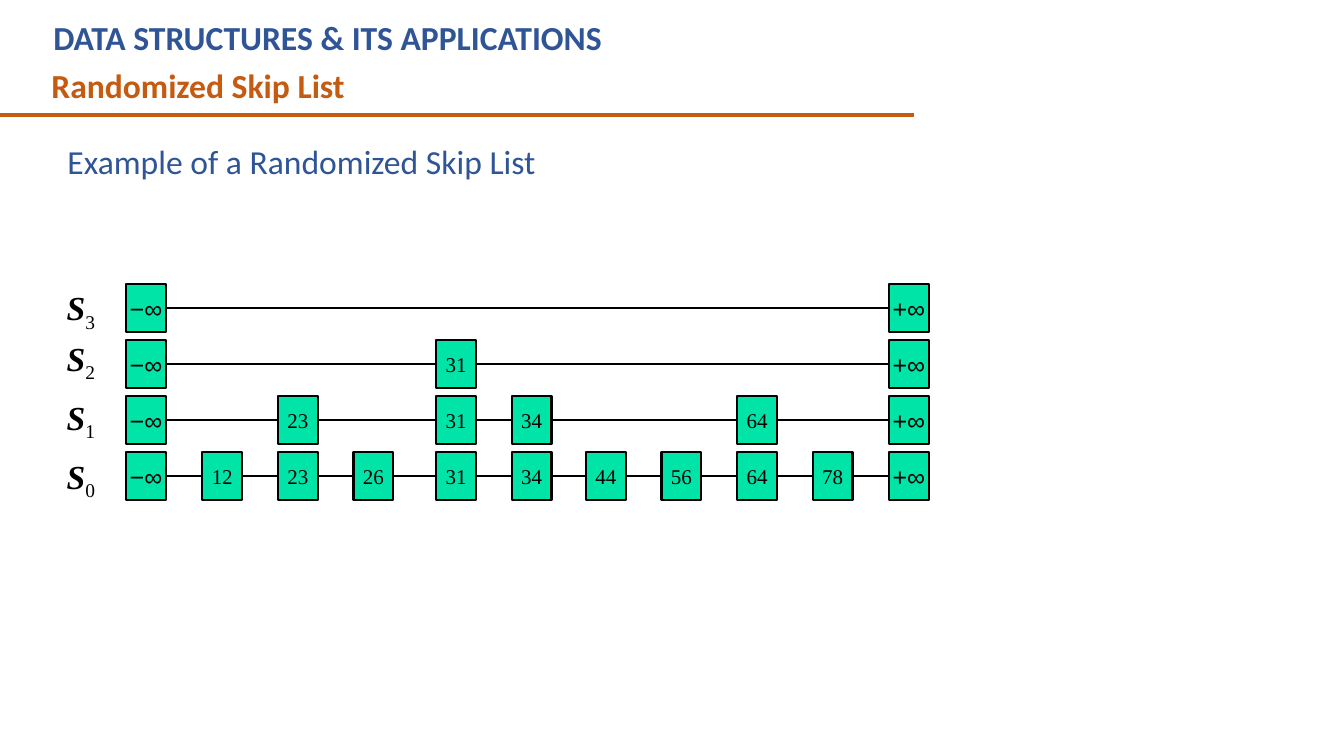
from itertools import pairwise

from lxml.etree import SubElement
from pptx import Presentation
from pptx.dml.color import RGBColor
from pptx.enum.shapes import MSO_CONNECTOR, MSO_SHAPE
from pptx.enum.text import MSO_ANCHOR, MSO_AUTO_SIZE, PP_ALIGN
from pptx.oxml.ns import qn
from pptx.util import Pt

BLUE, RUST, MINT, BLACK = "2F5597", "C55A11", "00E4A8", "000000"
SANS, SERIF, SIGN = "Calibri", "Times New Roman", "Arial"
LOW, HIGH = "−∞", "+∞"
LEFTS = {LOW: 90, "12": 144.5, "23": 198.5, "26": 252.5, "31": 311.5,
         "34": 365.5, "44": 418.5, "56": 472.5, "64": 526.5,
         "78": 580.5, HIGH: 635}
LEVELS = [
    ("3", 201.5, [LOW, HIGH]),
    ("2", 237.5, [LOW, "31", HIGH]),
    ("1", 280, [LOW, "23", "31", "34", "64", HIGH]),
    ("0", 322, list(LEFTS)),
]
TOP, PITCH = 203, 40


def color(code):
    return RGBColor.from_string(code)


class Board:
    """Draws styled elements on the current slide."""

    def __init__(self, slide):
        self.slide = slide
        self.shapes = slide.shapes

    def font(self, para, name, size, code, bold=False):
        font = para.font
        font.name, font.size, font.bold = name, Pt(size), bold
        font.color.rgb = color(code)

    def place(self, shape, left, top, width, height):
        shape.left, shape.top = Pt(left), Pt(top)
        shape.width, shape.height = Pt(width), Pt(height)

    def head(self, shape, text, code):
        frame = shape.text_frame
        frame.text = text
        frame.word_wrap = True
        frame.auto_size = MSO_AUTO_SIZE.NONE
        frame.vertical_anchor = MSO_ANCHOR.TOP
        para = frame.paragraphs[0]
        para.alignment = PP_ALIGN.LEFT
        self.font(para, SANS, 24, code, True)

    def banner(self, text, *area):
        box = self.shapes.add_textbox(*map(Pt, area))
        self.head(box, text, BLUE)

    def title(self, text, *area):
        title = self.shapes.title
        self.place(title, *area)
        self.head(title, text, RUST)

    def lead(self, text, *area):
        body = self.slide.placeholders[1]
        self.place(body, *area)
        frame = body.text_frame
        frame.text = text
        frame.auto_size = MSO_AUTO_SIZE.NONE
        frame.vertical_anchor = MSO_ANCHOR.MIDDLE
        frame.margin_top = frame.margin_bottom = 0
        para = frame.paragraphs[0]
        para.alignment = PP_ALIGN.JUSTIFY
        para.line_spacing = 1.5
        para.space_before = Pt(0)
        props = para._p.get_or_add_pPr()
        props.set("marL", str(Pt(18)))
        props.set("indent", "0")
        SubElement(props, qn("a:buNone"))
        self.font(para, SANS, 24, BLUE)

    def line(self, start, end, code, width):
        link = self.shapes.add_connector(
            MSO_CONNECTOR.STRAIGHT, *map(Pt, (*start, *end)))
        link.line.color.rgb = color(code)
        link.line.width = Pt(width)
        SubElement(link._element.spPr, qn("a:effectLst"))
        return link

    def join(self, first, second):
        link = self.line((0, 0), (0, 0), BLACK, 1.5)
        link.begin_connect(first, 3)
        link.end_connect(second, 1)

    def node(self, key, top):
        node = self.shapes.add_shape(
            MSO_SHAPE.RECTANGLE, *map(Pt, (LEFTS[key], top, 28.5, 34)))
        node.shadow.inherit = False
        node.fill.solid()
        node.fill.fore_color.rgb = color(MINT)
        node.line.color.rgb = color(BLACK)
        node.line.width = Pt(1.5)
        frame = node.text_frame
        frame.text = key
        frame.word_wrap = False
        frame.vertical_anchor = MSO_ANCHOR.MIDDLE
        para = frame.paragraphs[0]
        para.alignment = PP_ALIGN.CENTER
        if key in (LOW, HIGH):
            self.font(para, SIGN, 18, BLACK)
        else:
            self.font(para, SERIF, 15, BLACK)
        return node

    def label(self, index, top):
        box = self.shapes.add_textbox(*map(Pt, (40.5, top, 34.5, 40)))
        frame = box.text_frame
        frame.word_wrap = False
        para = frame.paragraphs[0]
        para.alignment = PP_ALIGN.CENTER
        self.font(para, SERIF, 24, BLACK)
        name, sub = para.add_run(), para.add_run()
        name.text, sub.text = "S", index
        name.font.bold = name.font.italic = True
        sub._r.get_or_add_rPr().set("baseline", "-25000")

    def level(self, index, mark, top, keys):
        self.label(index, mark)
        nodes = [self.node(key, top) for key in keys]
        for first, second in pairwise(nodes):
            self.join(first, second)


def main():
    deck = Presentation()
    deck.slide_width, deck.slide_height = Pt(960), Pt(540)
    board = Board(deck.slides.add_slide(deck.slide_layouts[1]))
    board.banner("DATA STRUCTURES & ITS APPLICATIONS", 31, 8.5, 590, 36)
    board.title("Randomized Skip List", 29.5, 43, 630, 36)
    board.line((0, 82), (653, 82), RUST, 3)
    board.lead("Example of a Randomized Skip List", 23, 88, 629, 39)
    for row, (index, mark, keys) in enumerate(LEVELS):
        board.level(index, mark, TOP + row * PITCH, keys)
    deck.save("out.pptx")


if __name__ == "__main__":
    main()
